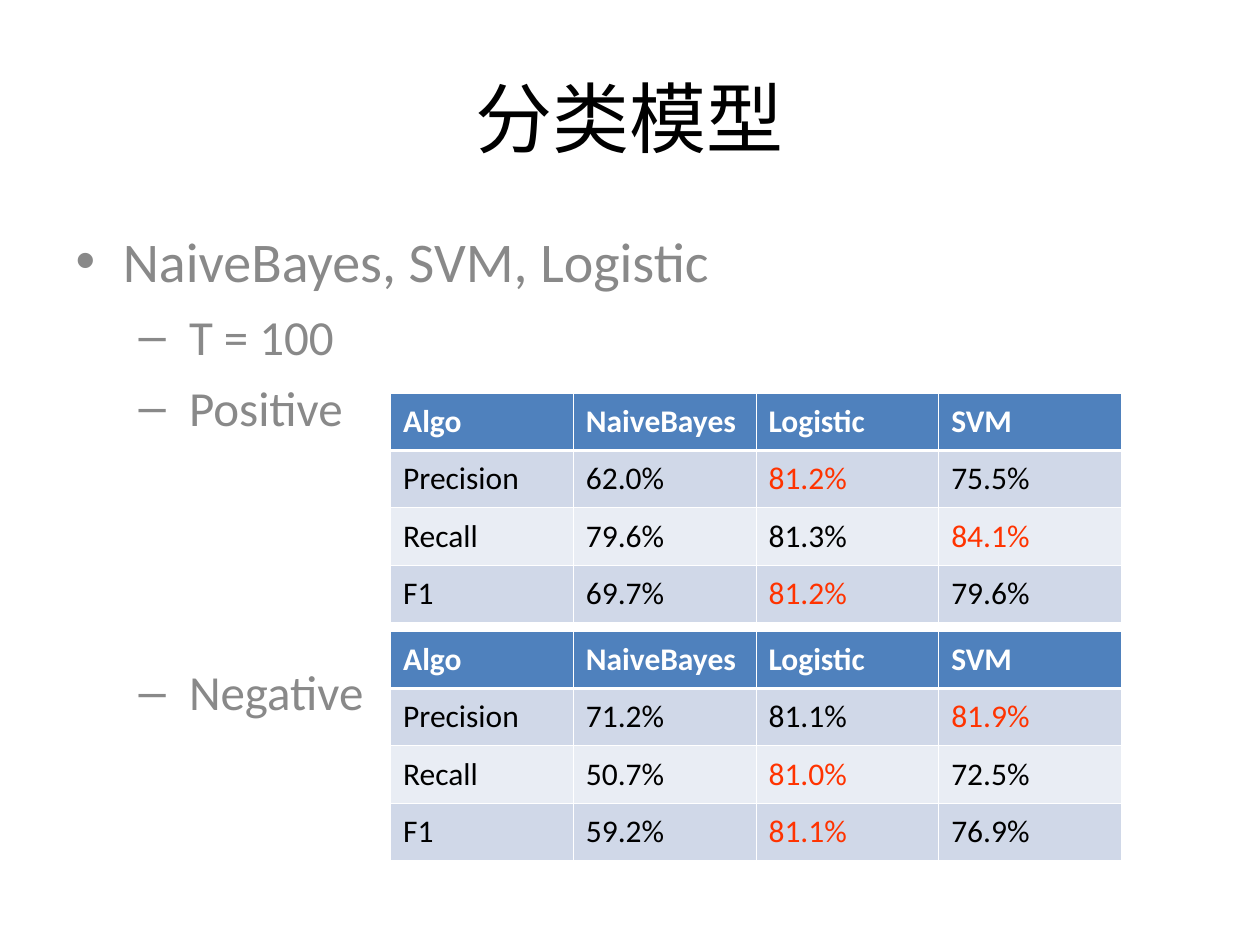
from lxml import etree
from pptx import Presentation
from pptx.dml.color import RGBColor
from pptx.enum.text import MSO_ANCHOR, MSO_AUTO_SIZE, PP_ALIGN
from pptx.oxml.ns import qn
from pptx.util import Inches, Pt

MIDDLE, TOP = MSO_ANCHOR.MIDDLE, MSO_ANCHOR.TOP
NO_FIT = MSO_AUTO_SIZE.NONE
CENTER, LEFT = PP_ALIGN.CENTER, PP_ALIGN.LEFT

BLACK = RGBColor(0x00, 0x00, 0x00)
WHITE = RGBColor(0xFF, 0xFF, 0xFF)
GRAY = RGBColor(0x89, 0x89, 0x89)
RED = RGBColor(0xFF, 0x33, 0x00)
HEADER_BLUE = RGBColor(0x4F, 0x81, 0xBD)
BANDS = (RGBColor(0xE9, 0xED, 0xF4), RGBColor(0xD0, 0xD8, 0xE8))

HEADINGS = ("Algo", "NaiveBayes", "Logistic", "SVM")
MEASURES = ("Precision", "Recall", "F1")
POSITIVE = ((62.0, 81.2, 75.5), (79.6, 81.3, 84.1), (69.7, 81.2, 79.6))
NEGATIVE = ((71.2, 81.1, 81.9), (50.7, 81.0, 72.5), (59.2, 81.1, 76.9))
BULLETS = (
    ("NaiveBayes, SVM, Logistic", 0, 32, 8),
    (" T = 100", 1, 28, 7),
    (" Positive", 1, 28, 7),
    (" Negative", 1, 28, 129),
)


class ResultsPage:
    font_name = "Calibri"
    thin, thick = Pt(0.45), Pt(1.47)

    def __init__(self, deck):
        self.deck = deck
        self.page = deck.slides.add_slide(deck.slide_layouts[1])

    def area(self, left, top, width, height):
        across, down = self.deck.slide_width, self.deck.slide_height
        return (int(left * across), int(top * down),
                int(width * across), int(height * down))

    def place(self, box, area, anchor):
        box.left, box.top, box.width, box.height = self.area(*area)
        frame = box.text_frame
        frame.word_wrap = True
        frame.auto_size = NO_FIT
        frame.vertical_anchor = anchor
        return frame

    def set_text(self, para, text, size, color, bold=False):
        para.text = text
        font = para.font
        font.name, font.size, font.bold = self.font_name, Pt(size), bold
        font.color.rgb = color

    def title(self, text, area):
        para = self.place(self.page.shapes.title, area, MIDDLE).paragraphs[0]
        self.set_text(para, text, 44, BLACK)
        para.alignment = CENTER

    def bullets(self, items, area):
        frame = self.place(self.page.placeholders[1], area, TOP)
        for index, (text, level, size, space) in enumerate(items):
            para = frame.add_paragraph() if index else frame.paragraphs[0]
            self.set_text(para, text, size, GRAY)
            para.level = level
            para.space_before = Pt(space)

    def borders(self, cell, top, bottom):
        properties = cell._tc.get_or_add_tcPr()
        widths = {"lnL": self.thin, "lnR": self.thin, "lnT": top, "lnB": bottom}
        for index, (side, width) in enumerate(widths.items()):
            line = etree.Element(qn(f"a:{side}"), w=str(int(width)))
            fill = etree.SubElement(line, qn("a:solidFill"))
            etree.SubElement(fill, qn("a:srgbClr"), val=str(WHITE))
            properties.insert(index, line)

    def cell(self, cell, text, color, fill, row):
        cell.fill.solid()
        cell.fill.fore_color.rgb = fill
        cell.vertical_anchor = MIDDLE
        para = cell.text_frame.paragraphs[0]
        self.set_text(para, text, 18, color, bold=row == 0)
        para.alignment = LEFT
        para.space_before = Pt(4.5)
        self.borders(cell, self.thick if row == 1 else self.thin,
                     self.thick if row == 0 else self.thin)

    def scores(self, values, area):
        table = self.page.shapes.add_table(
            len(MEASURES) + 1, len(HEADINGS), *self.area(*area)).table
        for column, heading in enumerate(HEADINGS):
            self.cell(table.cell(0, column), heading, WHITE, HEADER_BLUE, 0)
        for row, (measure, marks) in enumerate(zip(MEASURES, values), 1):
            fill = BANDS[row % 2]
            self.cell(table.cell(row, 0), measure, BLACK, fill, row)
            for column, mark in enumerate(marks, 1):
                color = RED if mark == max(marks) else BLACK
                self.cell(table.cell(row, column), f"{mark:.1f}%", color, fill, row)


def main():
    deck = Presentation()
    deck.slide_width, deck.slide_height = Inches(10), Inches(7.5)
    results = ResultsPage(deck)
    results.title("分类模型", (0.05, 0.04, 0.9, 1 / 6))
    results.bullets(BULLETS, (0.05, 7 / 30, 0.9, 0.66))
    for values, top in ((POSITIVE, 3.12), (NEGATIVE, 5.01)):
        results.scores(values, (0.31, top / 7.5, 0.58, 1.82 / 7.5))
    deck.save("out.pptx")


if __name__ == "__main__":
    main()
